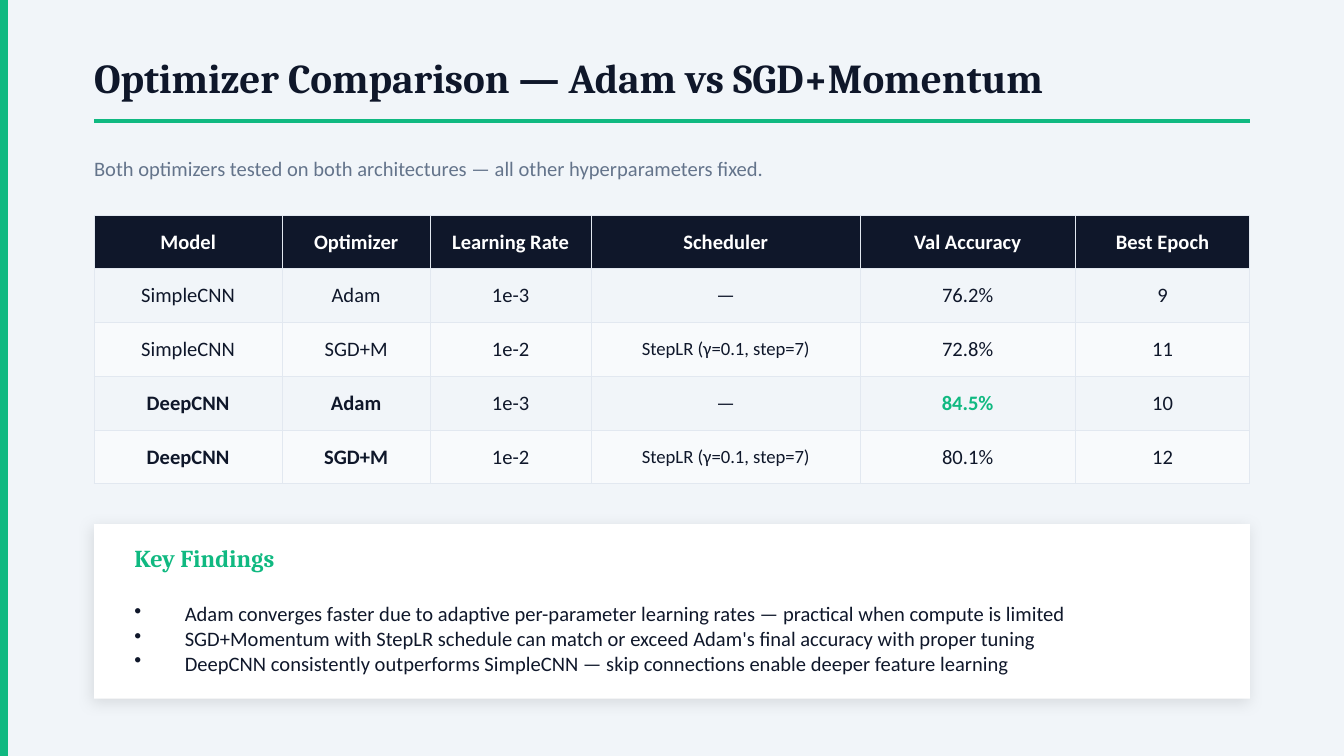
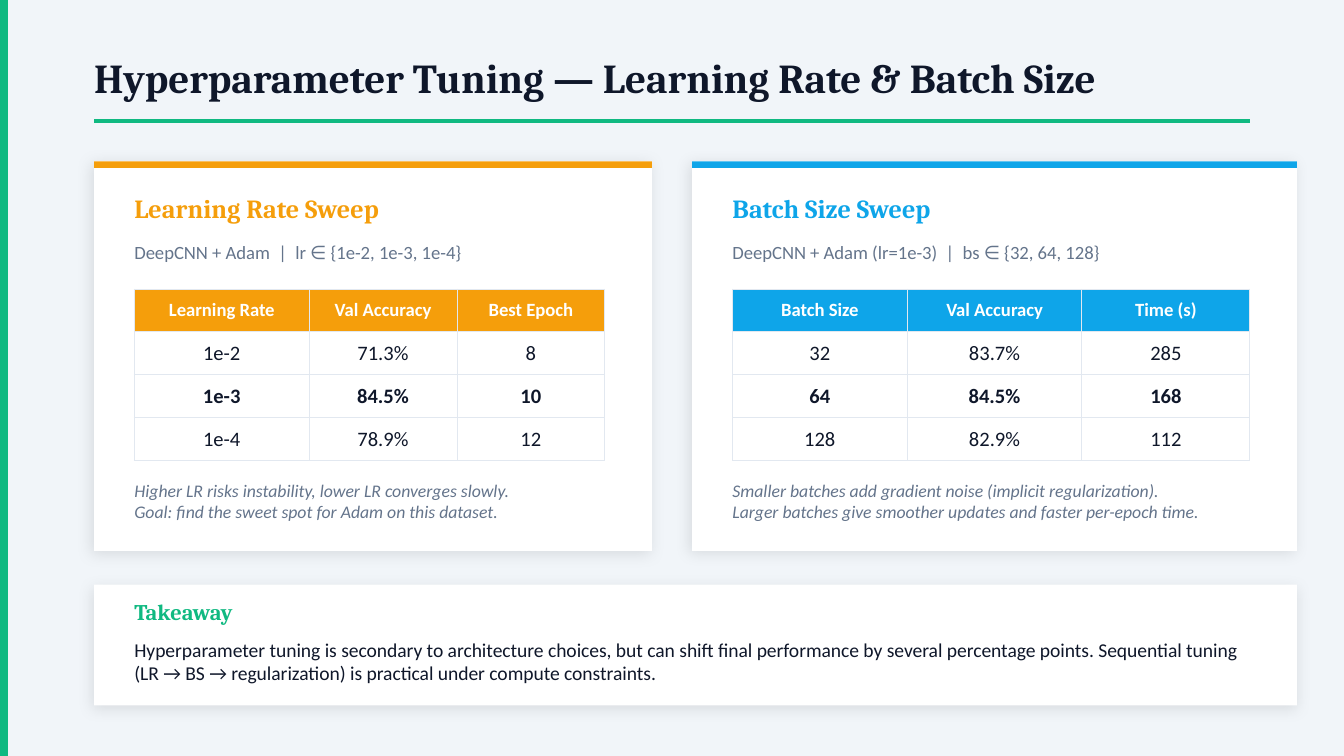
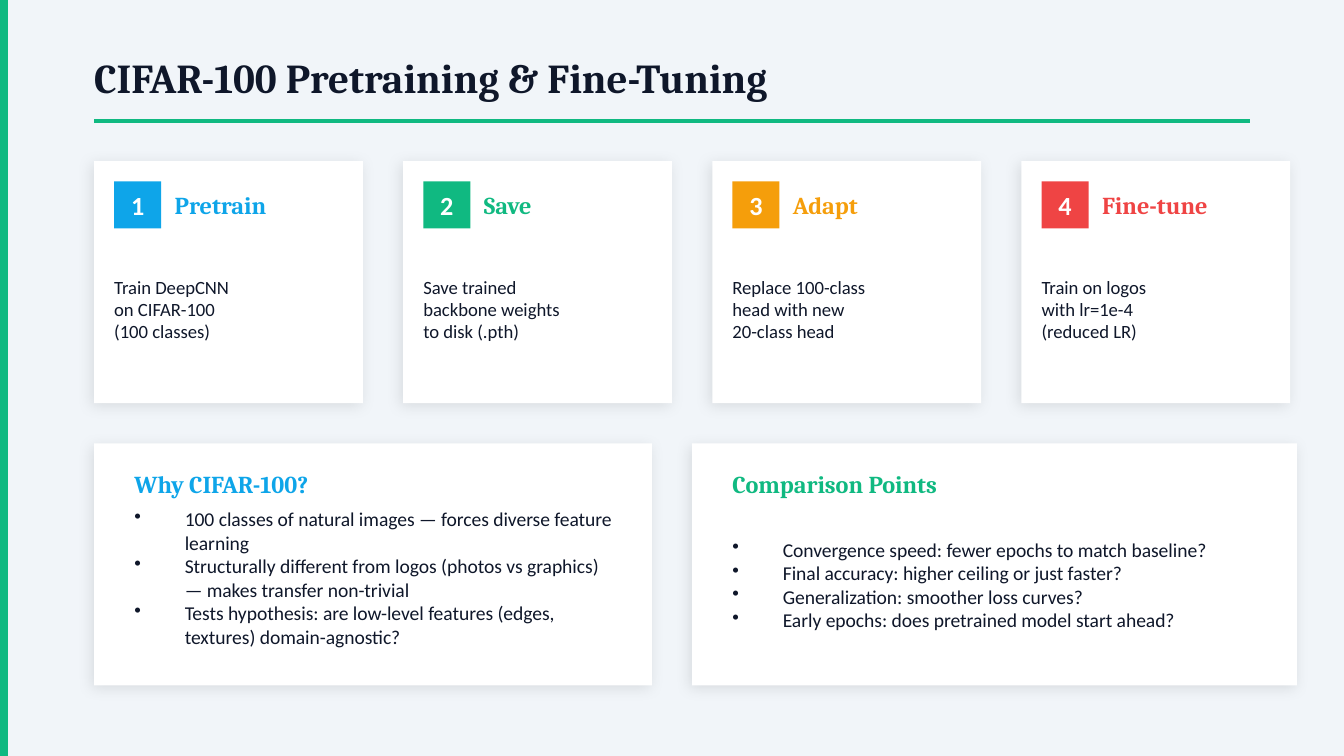
from lxml import etree
from pptx import Presentation
from pptx.dml.color import RGBColor
from pptx.enum.shapes import MSO_CONNECTOR, MSO_SHAPE
from pptx.enum.text import MSO_ANCHOR, PP_ALIGN
from pptx.oxml.ns import qn
from pptx.util import Pt

PX = 4572  # EMU per px, 200 px to the inch
SLIDE_W, SLIDE_H = 2000, 1125
LEFT, CONTENT_W, GAP = 140, 1720, 60
INSET = 60
HALF_W, WIDE_W = 830, 900
RIGHT_X = LEFT + HALF_W + GAP

RECT, STRAIGHT = MSO_SHAPE.RECTANGLE, MSO_CONNECTOR.STRAIGHT
MIDDLE = MSO_ANCHOR.MIDDLE
ALIGN_LEFT, ALIGN_CENTER = PP_ALIGN.LEFT, PP_ALIGN.CENTER

HEAD_FONT, BODY_FONT = "Cambria", "Calibri"
BACKGROUND = RGBColor(0xF1, 0xF5, 0xF9)
NAVY = RGBColor(0x0F, 0x17, 0x2A)
GRAY = RGBColor(0x64, 0x74, 0x8B)
WHITE = RGBColor(0xFF, 0xFF, 0xFF)
STRIPE = RGBColor(0xF8, 0xFA, 0xFC)
BORDER = RGBColor(0xE2, 0xE8, 0xF0)
GREEN = RGBColor(0x10, 0xB9, 0x81)
AMBER = RGBColor(0xF5, 0x9E, 0x0B)
BLUE = RGBColor(0x0E, 0xA5, 0xE9)
RED = RGBColor(0xEF, 0x44, 0x44)


def emu(*lengths):
    return [n * PX for n in lengths]


def add_run(p, text, size, color, font=BODY_FONT, bold=False, italic=False):
    r = p.add_run()
    r.text = text
    r.font.name, r.font.size = font, Pt(size)
    r.font.bold, r.font.italic = bold, italic
    r.font.color.rgb = color


def add_bullet(p):
    pPr = p._p.get_or_add_pPr()
    pPr.set("marL", str(75 * PX))
    pPr.set("indent", str(-75 * PX))
    etree.SubElement(pPr, qn("a:buChar")).set("char", "•")


def add_text(s, box, lines, size, color=NAVY, align=ALIGN_LEFT, bullets=False, **style):
    tf = s.shapes.add_textbox(*emu(*box)).text_frame
    tf.word_wrap = True
    tf.vertical_anchor = MIDDLE
    tf.margin_left = tf.margin_right = tf.margin_top = tf.margin_bottom = 0
    for i, line in enumerate(lines):
        p = tf.add_paragraph() if i else tf.paragraphs[0]
        p.alignment = align
        if bullets:
            add_bullet(p)
        add_run(p, line, size, color, **style)


def add_heading(s, box, text, size, color):
    add_text(s, box, [text], size, color, font=HEAD_FONT, bold=True)


def add_rect(s, box, color):
    sp = s.shapes.add_shape(RECT, *emu(*box))
    sp.fill.solid()
    sp.fill.fore_color.rgb = color
    sp.line.fill.background()
    sp.shadow.inherit = False
    return sp


def add_card(s, box):
    """White rectangle with a soft shadow."""
    effects = add_rect(s, box, WHITE)._element.spPr.find(qn("a:effectLst"))
    shadow = etree.SubElement(effects, qn("a:outerShdw"), blurRad=str(Pt(8)),
                              dist=str(Pt(2)), dir=str(135 * 60000),
                              algn="bl", rotWithShape="0")
    color = etree.SubElement(shadow, qn("a:srgbClr"), val="000000")
    etree.SubElement(color, qn("a:alpha"), val="10000")


def add_borders(cell):
    tcPr = cell._tc.get_or_add_tcPr()
    for side in ("a:lnL", "a:lnR", "a:lnT", "a:lnB"):
        ln = etree.SubElement(tcPr, qn(side), w=str(Pt(0.5)))
        fill = etree.SubElement(ln, qn("a:solidFill"))
        etree.SubElement(fill, qn("a:srgbClr"), val=str(BORDER))


def add_data_table(s, x, y, col_widths, row_h, rows, head_color, head_size,
                   styles, stripe=None):
    """First row is the header; styles maps (row, column) to run settings."""
    frame = s.shapes.add_table(len(rows), len(col_widths),
                               *emu(x, y, sum(col_widths), row_h * len(rows)))
    table = frame.table
    table.first_row = table.horz_banding = False
    for column, width in zip(table.columns, col_widths):
        column.width = width * PX
    for r, values in enumerate(rows):
        table.rows[r].height = row_h * PX
        fill = head_color if r == 0 else stripe if r % 2 == 0 else None
        for c, value in enumerate(values):
            cell = table.cell(r, c)
            cell.vertical_anchor = MIDDLE
            add_borders(cell)
            if fill is None:
                cell.fill.background()
            else:
                cell.fill.solid()
                cell.fill.fore_color.rgb = fill
            if r == 0:
                style = {"size": head_size, "color": WHITE, "bold": True}
            else:
                style = {"size": 11, "color": NAVY, **styles.get((r, c), {})}
            p = cell.text_frame.paragraphs[0]
            p.alignment = ALIGN_CENTER
            add_run(p, value, **style)


def new_slide(prs, title):
    """Background, side band, title and rule shared by all slides."""
    s = prs.slides.add_slide(prs.slide_layouts[6])
    s.background.fill.solid()
    s.background.fill.fore_color.rgb = BACKGROUND
    add_rect(s, (0, 0, 12, SLIDE_H), GREEN)
    add_heading(s, (LEFT, 60, CONTENT_W, 110), title, 22, NAVY)
    rule = s.shapes.add_connector(STRAIGHT, *emu(LEFT, 180, LEFT + CONTENT_W, 180))
    rule.line.color.rgb = GREEN
    rule.line.width = Pt(2)
    etree.SubElement(rule._element.spPr, qn("a:effectLst"))
    return s


def bullet_card(s, box, heading, color, items, size, text_w, head_dy, body_dy, body_h):
    x, y, _, _ = box
    add_card(s, box)
    add_heading(s, (x + INSET, y + head_dy, text_w, 60), heading, 13, color)
    add_text(s, (x + INSET, y + body_dy, text_w, body_h), items, size, bullets=True)


def sweep_card(s, box, color, heading, setup, col_widths, rows, note, text_w):
    x, y, w, _ = box
    left = x + INSET
    add_card(s, box)
    add_rect(s, (x, y, w, 10), color)
    add_heading(s, (left, y + 40, text_w, 60), heading, 14, color)
    add_text(s, (left, y + 110, text_w, 50), [setup], 10, GRAY)
    best_row = {(2, c): {"bold": True} for c in range(len(col_widths))}
    add_data_table(s, left, y + 190, col_widths, 64, rows, color, 10, best_row)
    add_text(s, (left, y + 460, text_w, 90), note, 9.5, GRAY, italic=True)


def takeaway_card(s, box, heading, body):
    x, y, w, _ = box
    add_card(s, box)
    add_heading(s, (x + INSET, y + 10, 300, 60), heading, 12, GREEN)
    add_text(s, (x + INSET, y + 74, w - 110, 80), [body], 10.5)


def step_card(s, box, number, color, heading, lines):
    x, y, w, _ = box
    badge = (x + 30, y + 30, 70, 70)
    add_card(s, box)
    add_rect(s, badge, color)
    add_text(s, badge, [str(number)], 14, WHITE, ALIGN_CENTER, bold=True)
    add_heading(s, (x + 120, y + 30, 240, 70), heading, 13, color)
    add_text(s, (x + 30, y + 130, w - 60, 180), lines, 10)


def optimizer_slide(prs):
    s = new_slide(prs, "Optimizer Comparison — Adam vs SGD+Momentum")
    add_text(s, (LEFT, 220, CONTENT_W, 60),
             ["Both optimizers tested on both architectures — all other "
              "hyperparameters fixed."], 11, GRAY)
    step_lr = "StepLR (γ=0.1, step=7)"
    rows = [
        ("Model", "Optimizer", "Learning Rate", "Scheduler", "Val Accuracy", "Best Epoch"),
        ("SimpleCNN", "Adam", "1e-3", "—", "76.2%", "9"),
        ("SimpleCNN", "SGD+M", "1e-2", step_lr, "72.8%", "11"),
        ("DeepCNN", "Adam", "1e-3", "—", "84.5%", "10"),
        ("DeepCNN", "SGD+M", "1e-2", step_lr, "80.1%", "12"),
    ]
    styles = {(r, c): {"bold": True} for r in (3, 4) for c in (0, 1)}
    styles.update({(r, 3): {"size": 10} for r in (2, 4)})
    styles[3, 4] = {"bold": True, "color": GREEN}
    add_data_table(s, LEFT, 320, (280, 220, 240, 400, 320, 260), 80, rows,
                   NAVY, 11, styles, STRIPE)
    bullet_card(s, (LEFT, 780, CONTENT_W, 260), "Key Findings", GREEN, [
        "Adam converges faster due to adaptive per-parameter learning rates — "
        "practical when compute is limited",
        "SGD+Momentum with StepLR schedule can match or exceed Adam's final "
        "accuracy with proper tuning",
        "DeepCNN consistently outperforms SimpleCNN — skip connections enable "
        "deeper feature learning",
    ], 11, text_w=1600, head_dy=20, body_dy=90, body_h=160)


def tuning_slide(prs):
    s = new_slide(prs, "Hyperparameter Tuning — Learning Rate & Batch Size")
    sweep_card(
        s, (LEFT, 240, HALF_W, 580), AMBER, "Learning Rate Sweep",
        "DeepCNN + Adam  |  lr ∈ {1e-2, 1e-3, 1e-4}", (260, 220, 220),
        [("Learning Rate", "Val Accuracy", "Best Epoch"),
         ("1e-2", "71.3%", "8"),
         ("1e-3", "84.5%", "10"),
         ("1e-4", "78.9%", "12")],
        ["Higher LR risks instability, lower LR converges slowly.",
         "Goal: find the sweet spot for Adam on this dataset."], text_w=720)
    sweep_card(
        s, (RIGHT_X, 240, WIDE_W, 580), BLUE, "Batch Size Sweep",
        "DeepCNN + Adam (lr=1e-3)  |  bs ∈ {32, 64, 128}", (260, 260, 250),
        [("Batch Size", "Val Accuracy", "Time (s)"),
         ("32", "83.7%", "285"),
         ("64", "84.5%", "168"),
         ("128", "82.9%", "112")],
        ["Smaller batches add gradient noise (implicit regularization).",
         "Larger batches give smoother updates and faster per-epoch time."], text_w=780)
    takeaway_card(
        s, (LEFT, 870, HALF_W + GAP + WIDE_W, 180), "Takeaway",
        "Hyperparameter tuning is secondary to architecture choices, but can shift "
        "final performance by several percentage points. Sequential tuning "
        "(LR → BS → regularization) is practical under compute constraints.")


def pretraining_slide(prs):
    s = new_slide(prs, "CIFAR-100 Pretraining & Fine-Tuning")
    steps = [
        (BLUE, "Pretrain", ["Train DeepCNN", "on CIFAR-100", "(100 classes)"]),
        (GREEN, "Save", ["Save trained", "backbone weights", "to disk (.pth)"]),
        (AMBER, "Adapt", ["Replace 100-class", "head with new", "20-class head"]),
        (RED, "Fine-tune", ["Train on logos", "with lr=1e-4", "(reduced LR)"]),
    ]
    step_w = 400
    for i, step in enumerate(steps):
        step_card(s, (LEFT + i * (step_w + GAP), 240, step_w, 360), i + 1, *step)
    bullet_card(s, (LEFT, 660, HALF_W, 360), "Why CIFAR-100?", BLUE, [
        "100 classes of natural images — forces diverse feature learning",
        "Structurally different from logos (photos vs graphics) — makes transfer "
        "non-trivial",
        "Tests hypothesis: are low-level features (edges, textures) domain-agnostic?",
    ], 10.5, text_w=720, head_dy=30, body_dy=100, body_h=200)
    bullet_card(s, (RIGHT_X, 660, WIDE_W, 360), "Comparison Points", GREEN, [
        "Convergence speed: fewer epochs to match baseline?",
        "Final accuracy: higher ceiling or just faster?",
        "Generalization: smoother loss curves?",
        "Early epochs: does pretrained model start ahead?",
    ], 10.5, text_w=780, head_dy=30, body_dy=100, body_h=220)


def main():
    prs = Presentation()
    prs.slide_width, prs.slide_height = emu(SLIDE_W, SLIDE_H)
    optimizer_slide(prs)
    tuning_slide(prs)
    pretraining_slide(prs)
    prs.save("out.pptx")


if __name__ == "__main__":
    main()
